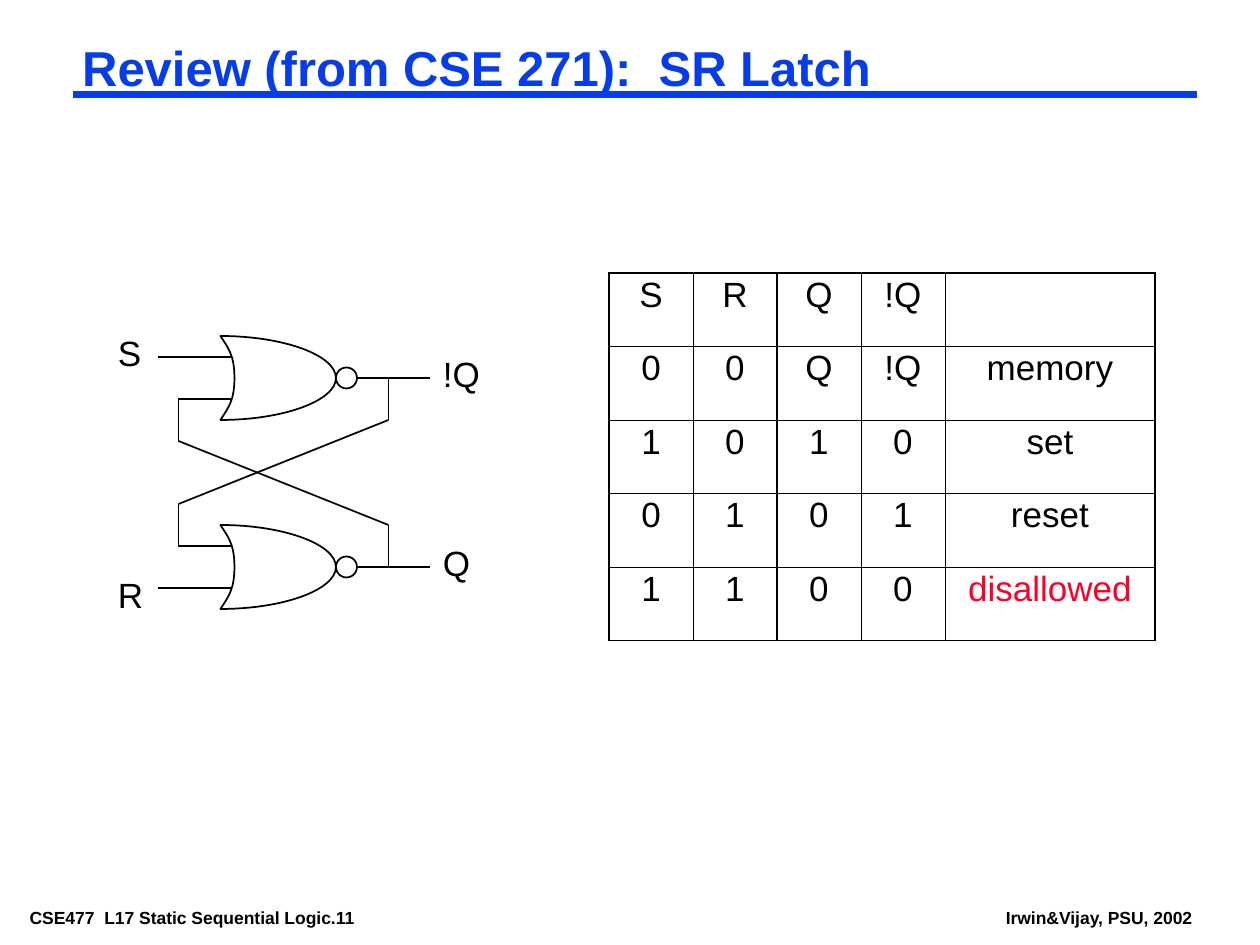
from pptx import Presentation
from pptx.dml.color import RGBColor
from pptx.enum.shapes import MSO_CONNECTOR, MSO_SHAPE
from pptx.enum.text import MSO_AUTO_SIZE, PP_ALIGN
from pptx.oxml.ns import qn
from pptx.util import Pt
from lxml.etree import SubElement

BLACK, BLUE, RED, WHITE = "000000", "063DE8", "FC0128", "FFFFFF"
THIN, THICK = 0.45, 1.08

ROWS = [
    ["S", "R", "Q", "!Q", ""],
    ["0", "0", "Q", "!Q", "memory"],
    ["1", "0", "1", "0", "set"],
    ["0", "1", "0", "1", "reset"],
    ["1", "1", "0", "0", "disallowed"],
]


def rgb(color):
    return RGBColor.from_string(color)


def add_run(p, text, size, color=BLACK, bold=False):
    r = p.add_run()
    r.text = text
    r.font.name, r.font.size, r.font.bold = "Arial", Pt(size), bold
    r.font.color.rgb = rgb(color)


def add_text(s, text, x, y, w, h, size=20, color=BLACK, bold=False,
             inset=(7.2, 3.6), wrap=False, spacing=1.0):
    tf = s.shapes.add_textbox(Pt(x), Pt(y), Pt(w), Pt(h)).text_frame
    tf.word_wrap = wrap
    tf.auto_size = MSO_AUTO_SIZE.SHAPE_TO_FIT_TEXT
    tf.margin_left = tf.margin_right = Pt(inset[0])
    tf.margin_top = tf.margin_bottom = Pt(inset[1])
    p = tf.paragraphs[0]
    p.line_spacing = spacing
    add_run(p, text, size, color, bold)


def add_line(s, x1, y1, x2, y2, color=BLACK, width=1):
    c = s.shapes.add_connector(MSO_CONNECTOR.STRAIGHT, Pt(x1), Pt(y1), Pt(x2), Pt(y2))
    c.line.color.rgb = rgb(color)
    c.line.width = Pt(width)
    SubElement(c._element.spPr, qn("a:effectLst"))


def outline(sp):
    sp.shadow.inherit = False
    sp.fill.background()
    sp.line.color.rgb = rgb(BLACK)
    sp.line.width = Pt(1)


def add_curved_shape(shapes, x, y, curves):
    """Closed outline of Bezier curves, with points relative to its top left."""
    fb = shapes.build_freeform(Pt(x), Pt(y))
    fb.add_line_segments([(Pt(x + c[-1][0]), Pt(y + c[-1][1])) for c in curves])
    sp = fb.convert_to_shape()
    # Turn each straight segment into a curve
    segments = list(sp._element.iter(qn("a:lnTo")))
    for segment, points in zip(segments, curves):
        bezier = segment.makeelement(qn("a:cubicBezTo"), {})
        for px, py in points:
            SubElement(bezier, qn("a:pt"), x=str(Pt(px)), y=str(Pt(py)))
        segment.getparent().replace(segment, bezier)
    outline(sp)


def add_nor_gate(s, x, cy):
    shapes = s.shapes.add_group_shape().shapes
    add_curved_shape(shapes, x, cy - 24, [
        [(4.5, 7), (8, 11), (8, 24)],
        [(8, 37), (4.5, 41), (0, 48)],
        [(36, 48), (66, 37), (66, 24)],
        [(66, 11), (36, 0), (0, 0)],
    ])
    # Inverting bubble
    outline(shapes.add_shape(MSO_SHAPE.OVAL, Pt(x + 66), Pt(cy - 6), Pt(12), Pt(12)))


def set_borders(cell, widths):
    tcPr = cell._tc.get_or_add_tcPr()
    for i, (side, width) in enumerate(widths.items()):
        ln = tcPr.makeelement(qn(f"a:{side}"), {"w": str(Pt(width))})
        fill = SubElement(ln, qn("a:solidFill"))
        SubElement(fill, qn("a:srgbClr"), val=BLACK)
        tcPr.insert(i, ln)


def add_truth_table(s, x, y, col_widths, row_height):
    n_rows, n_cols = len(ROWS), len(col_widths)
    table = s.shapes.add_table(n_rows, n_cols, Pt(x), Pt(y), Pt(sum(col_widths)),
                               Pt(row_height * n_rows)).table
    table.first_row = table.horz_banding = False
    for col, width in zip(table.columns, col_widths):
        col.width = Pt(width)
    # Thick rules: sides, top, below the header, between inputs and outputs
    thick_x, thick_y = {0, 2, n_cols}, {0, 1}
    for i, row in enumerate(ROWS):
        table.rows[i].height = Pt(row_height)
        for j, text in enumerate(row):
            cell = table.cell(i, j)
            cell.fill.background()
            set_borders(cell, {
                "lnL": THICK if j in thick_x else THIN,
                "lnR": THICK if j + 1 in thick_x else THIN,
                "lnT": THICK if i in thick_y else THIN,
                "lnB": THICK if i + 1 in thick_y else THIN,
            })
            if text:
                p = cell.text_frame.paragraphs[0]
                p.alignment = PP_ALIGN.CENTER
                p.line_spacing, p.space_before = 0.9, Pt(16.2)
                add_run(p, text, 20, RED if text == "disallowed" else BLACK)


def add_latch(s):
    top, bottom = 216, 324  # centre lines of the two gates
    left, right = 102, 222  # columns of the feedback wires
    # direction: +1 points from a gate towards the other one
    for cy, other, direction in ((top, bottom, 1), (bottom, top, -1)):
        add_nor_gate(s, 126, cy)
        outer, inner = cy - 12 * direction, cy + 12 * direction
        add_line(s, 90, outer, 132, outer)
        add_line(s, left, inner, 132, inner)
        add_line(s, 204, cy, 246, cy)
        # Feedback from the other gate's output
        bend, source = cy + 36 * direction, other - 24 * direction
        add_line(s, left, inner, left, bend)
        add_line(s, left, bend, right, source)
        add_line(s, right, source, right, other)
    # Signal names
    add_text(s, "S", 60.2, 186, 27.8, 31.7)
    add_text(s, "R", 60.2, 324, 29, 31.7)
    add_text(s, "!Q", 246, 198, 36, 31.7)
    add_text(s, "Q", 246, 306, 30, 31.7)


def main():
    prs = Presentation()
    prs.slide_width, prs.slide_height = Pt(720), Pt(540)
    s = prs.slides.add_slide(prs.slide_layouts[6])
    s.background.fill.solid()
    s.background.fill.fore_color.rgb = rgb(WHITE)

    # Footer
    small = dict(size=10, bold=True, inset=(5, 2))
    add_text(s, "CSE477  L17 Static Sequential Logic.11", 12, 516.4, 233, 16, **small)
    add_text(s, "Irwin&Vijay, PSU, 2002", 569.8, 516.4, 117.4, 16, **small)

    # Title and rule
    add_line(s, 42, 54, 684, 54, BLUE, 4.5)
    add_text(s, "Review (from CSE 271):  SR Latch", 42, 24, 642, 33, size=28,
             color=BLUE, bold=True, inset=(5, 2), wrap=True, spacing=0.87)

    # Truth table and circuit
    add_truth_table(s, 348, 156, [48] * 4 + [120], 42)
    add_latch(s)

    prs.save("out.pptx")


if __name__ == "__main__":
    main()
